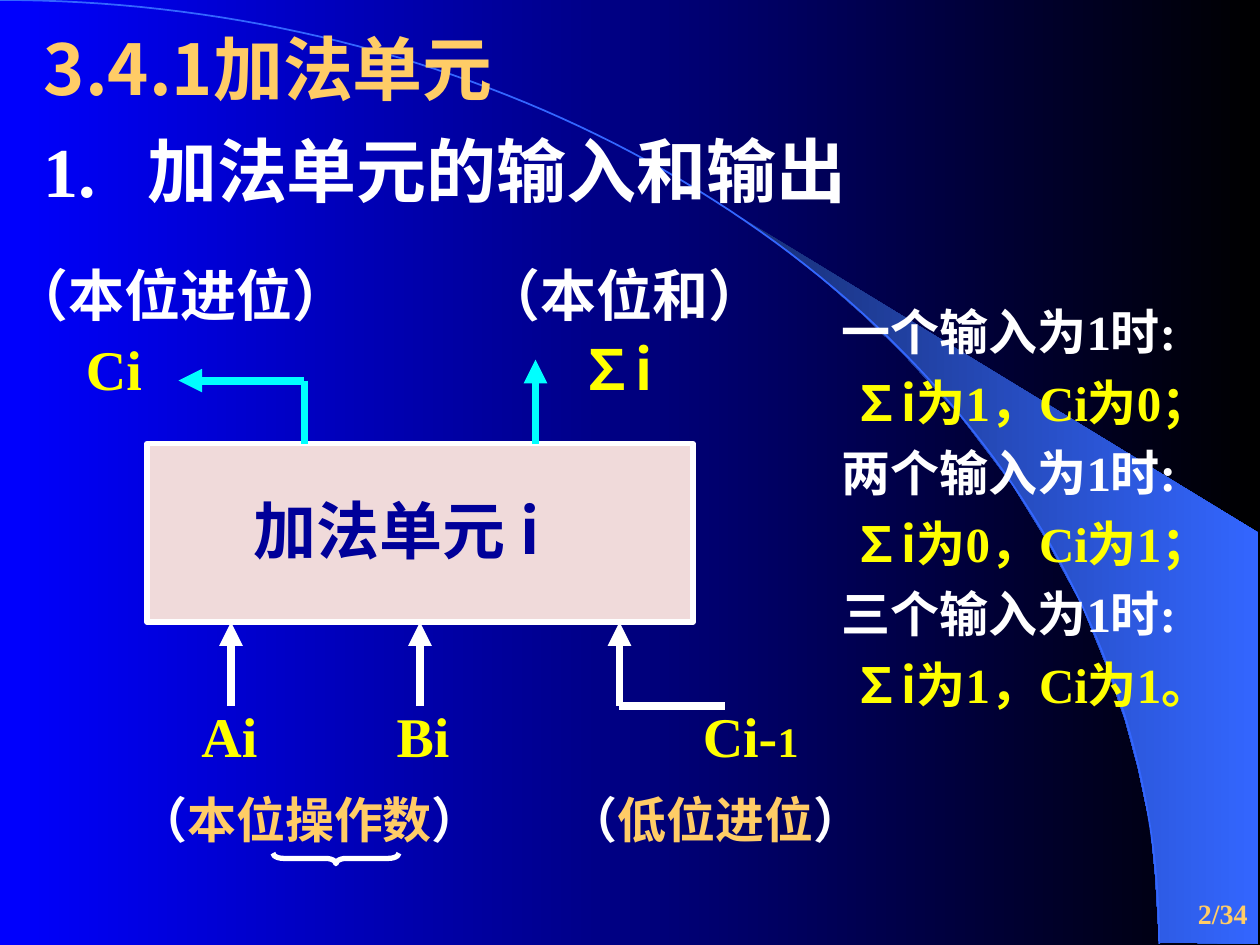
"""Build the slide on the inputs and outputs of an adder unit."""
import math

import pptx
import pptx.dml.color
import pptx.enum.dml
import pptx.enum.shapes
import pptx.enum.text
import pptx.oxml.ns
import pptx.util
from lxml import etree

Pt = pptx.util.Pt
RGB = pptx.dml.color.RGBColor
ALIGN = pptx.enum.text.PP_ALIGN
SHAPE = pptx.enum.shapes.MSO_SHAPE
qn = pptx.oxml.ns.qn

WHITE = RGB(0xFF, 0xFF, 0xFF)
BLACK = RGB(0x00, 0x00, 0x00)
BLUE = RGB(0x00, 0x00, 0xFF)
NAVY = RGB(0x00, 0x00, 0x99)
DEEP_BLUE = RGB(0x18, 0x2F, 0x76)
SKY_BLUE = RGB(0x33, 0x66, 0xFF)
CYAN = RGB(0x00, 0xFF, 0xFF)
YELLOW = RGB(0xFF, 0xFF, 0x00)
GOLD = RGB(0xFF, 0xCC, 0x66)
PINK = RGB(0xF0, 0xDA, 0xDA)
SERIF = "Times New Roman"
SANS = "Noto Sans CJK SC"

WIDTH, HEIGHT = 720, 540
ARC_RX, ARC_RY = 662.4, 539.3
BEAM = [(662.4, 538.6), (719.3, 539.3), (719.3, 304.6), (424.1, 124.6),
        (449.3, 143.3), (470.2, 159.8), (493.2, 180), (515.5, 201.6),
        (548.6, 237.6), (578.2, 276.5), (599, 310.3), (617.8, 344.9),
        (632.2, 380.2), (643, 411.8), (650.2, 438.5), (657.4, 472.3),
        (660.2, 501.1)]

UNIT_LEFT, UNIT_TOP, UNIT_WIDTH, UNIT_HEIGHT = 84, 253.5, 312, 102
UNIT_BOTTOM = UNIT_TOP + UNIT_HEIGHT
INPUT_Y, CARRY_Y, SUM_Y = 403.5, 217.5, 205.5
A_X, B_X, CARRY_IN_X, CARRY_OUT_X, SUM_X = 132, 240, 354, 174, 306

SIGNALS = [
    ((A_X, INPUT_Y), (A_X, UNIT_BOTTOM), WHITE, True),
    ((SUM_X, UNIT_TOP), (SUM_X, SUM_Y), CYAN, True),
    ((B_X, INPUT_Y), (B_X, UNIT_BOTTOM), WHITE, True),
    ((CARRY_IN_X, INPUT_Y), (CARRY_IN_X, UNIT_BOTTOM), WHITE, True),
    ((CARRY_IN_X, INPUT_Y), (414, INPUT_Y), WHITE, False),
    ((CARRY_OUT_X, CARRY_Y), (CARRY_OUT_X, UNIT_TOP), CYAN, False),
    ((CARRY_OUT_X, CARRY_Y), (102, CARRY_Y), CYAN, True),
]


def bracketed(words):
    return [[("（", WHITE, SERIF), (words, GOLD, SERIF), ("）", WHITE, SERIF)]]


LABELS = [
    ((138, 277.5, 222, 50.5), 36, [[("加法单元 i", NAVY, SANS)]], {}),
    ((84, 397.5, 408, 46), 32,
     [[("\tAi\tBi\tCi-", YELLOW, SERIF), ("1", YELLOW, SERIF, 24)]],
     {"tabs": (24, 135.5, 310.5)}),
    ((42, 187.5, 72, 46), 32, [[("Ci", YELLOW, SERIF)]], {}),
    ((324, 187.5, 66, 46), 32, [[("∑i", YELLOW, SANS)]], {}),
    ((72, 447.5, 294, 41), 28, bracketed("本位操作数"), {}),
    ((318, 447.5, 204, 41), 28, bracketed("低位进位"), {}),
    ((0, 145.5, 252, 46), 32, [[("（本位进位）", WHITE, SERIF)]], {}),
    ((270, 145.5, 204, 46), 32, [[("（本位和）", WHITE, SERIF)]], {}),
    ((18, 24, 558, 99.5), 40,
     [[("3.4.1加法单元", GOLD, SANS)], [("1.\t加法单元的输入和输出", WHITE, SERIF)]],
     {"tabs": (59,), "spacing": 0.7, "gap": 25}),
]
CASES = [("一", "1", "0；"), ("两", "0", "1；"), ("三", "1", "1。")]
PAGE = "2/34"


def style(font, holder, color, face):
    font.color.rgb = color
    font.name = face
    etree.SubElement(holder, qn("a:ea")).set("typeface", SANS)


def add_text(slide, box, size, paragraphs, tabs=(), spacing=None, gap=0,
             align=ALIGN.LEFT, grow=True):
    frame = slide.shapes.add_textbox(*map(Pt, box)).text_frame
    frame.word_wrap = True
    if grow:
        frame.auto_size = pptx.enum.text.MSO_AUTO_SIZE.SHAPE_TO_FIT_TEXT
    for index, runs in enumerate(paragraphs):
        paragraph = frame.paragraphs[0] if index == 0 else frame.add_paragraph()
        paragraph.alignment = align
        if spacing:
            paragraph.line_spacing = spacing
        if index and gap:
            paragraph.space_before = Pt(gap)
        properties = paragraph._p.get_or_add_pPr()
        if tabs:
            stops = etree.SubElement(properties, qn("a:tabLst"))
            for stop in tabs:
                etree.SubElement(stops, qn("a:tab"), pos=str(Pt(stop)), algn="l")
        paragraph.font.size = Pt(size)
        paragraph.font.bold = True
        if len({run[1:] for run in runs}) == 1:
            style(paragraph.font, properties.find(qn("a:defRPr")), *runs[0][1:3])
        for words, color, face, *own_size in runs:
            run = paragraph.add_run()
            run.text = words
            if len(runs) > 1:
                style(run.font, run._r.get_or_add_rPr(), color, face)
            if own_size:
                run.font.size = Pt(own_size[0])
    return frame


def set_gradient(fill, *colors):
    fill.gradient()
    fill.gradient_angle = 0
    for stop, color in zip(fill.gradient_stops, colors):
        stop.color.rgb = color


def add_outline(slide, points, close):
    start, *rest = [(Pt(x), Pt(y)) for x, y in points]
    builder = slide.shapes.build_freeform(*start)
    builder.add_line_segments(rest, close=close)
    outline = builder.convert_to_shape()
    outline.shadow.inherit = False
    return outline


def set_line(line, color, width):
    line.color.rgb = color
    line.width = Pt(width)


def add_backdrop(slide):
    set_gradient(slide.background.fill, BLUE, BLACK)
    beam = add_outline(slide, BEAM, True)
    set_gradient(beam.fill, DEEP_BLUE, SKY_BLUE)
    beam.line.fill.background()
    angles = [math.radians(degree) for degree in range(91)]
    arc = add_outline(slide, [(ARC_RX * math.sin(angle), ARC_RY * (1 - math.cos(angle)))
                              for angle in angles], False)
    arc.fill.background()
    set_line(arc.line, SKY_BLUE, 1)


def add_unit(slide):
    unit = slide.shapes.add_shape(SHAPE.RECTANGLE, Pt(UNIT_LEFT), Pt(UNIT_TOP),
                                  Pt(UNIT_WIDTH), Pt(UNIT_HEIGHT))
    unit.shadow.inherit = False
    unit.fill.solid()
    unit.fill.fore_color.rgb = PINK
    set_line(unit.line, WHITE, 3)
    for start, end, color, arrow in SIGNALS:
        signal = slide.shapes.add_connector(
            pptx.enum.shapes.MSO_CONNECTOR.STRAIGHT, *map(Pt, start + end))
        set_line(signal.line, color, 4.5)
        if arrow:
            etree.SubElement(signal.line._get_or_add_ln(), qn("a:tailEnd"), type="triangle")
        etree.SubElement(signal._element.spPr, qn("a:effectLst"))
        if end == (B_X, UNIT_BOTTOM):
            signal.end_connect(unit, 2)


def add_brace(slide):
    brace = slide.shapes.add_shape(SHAPE.LEFT_BRACE, Pt(189), Pt(454.5), Pt(6), Pt(72))
    brace.rotation = 270
    brace.adjustments[0] = 1
    brace.shadow.inherit = False
    brace.fill.background()
    set_line(brace.line, WHITE, 3)


def main():
    deck = pptx.Presentation()
    deck.slide_width, deck.slide_height = Pt(WIDTH), Pt(HEIGHT)
    slide = deck.slides.add_slide(deck.slide_layouts[6])
    add_backdrop(slide)
    page = add_text(slide, (541.5, 504, 178.5, 36), 16, [[(PAGE, GOLD, SERIF)]],
                    align=ALIGN.RIGHT, grow=False)
    page.vertical_anchor = pptx.enum.text.MSO_ANCHOR.MIDDLE
    add_unit(slide)
    add_brace(slide)
    for box, size, paragraphs, options in LABELS:
        add_text(slide, box, size, paragraphs, **options)
    rules = []
    for count, total, carry in CASES:
        rules.append([(f"{count}个输入为1时:", WHITE, SERIF)])
        rules.append([(" ∑i为", YELLOW, SANS), (total, YELLOW, SERIF),
                      ("，", YELLOW, SANS), (f"Ci为{carry}", YELLOW, SERIF)])
    add_text(slide, (474, 162, 246, 370), 28, rules, spacing=1.2, align=ALIGN.JUSTIFY)
    deck.save("out.pptx")


if __name__ == "__main__":
    main()
